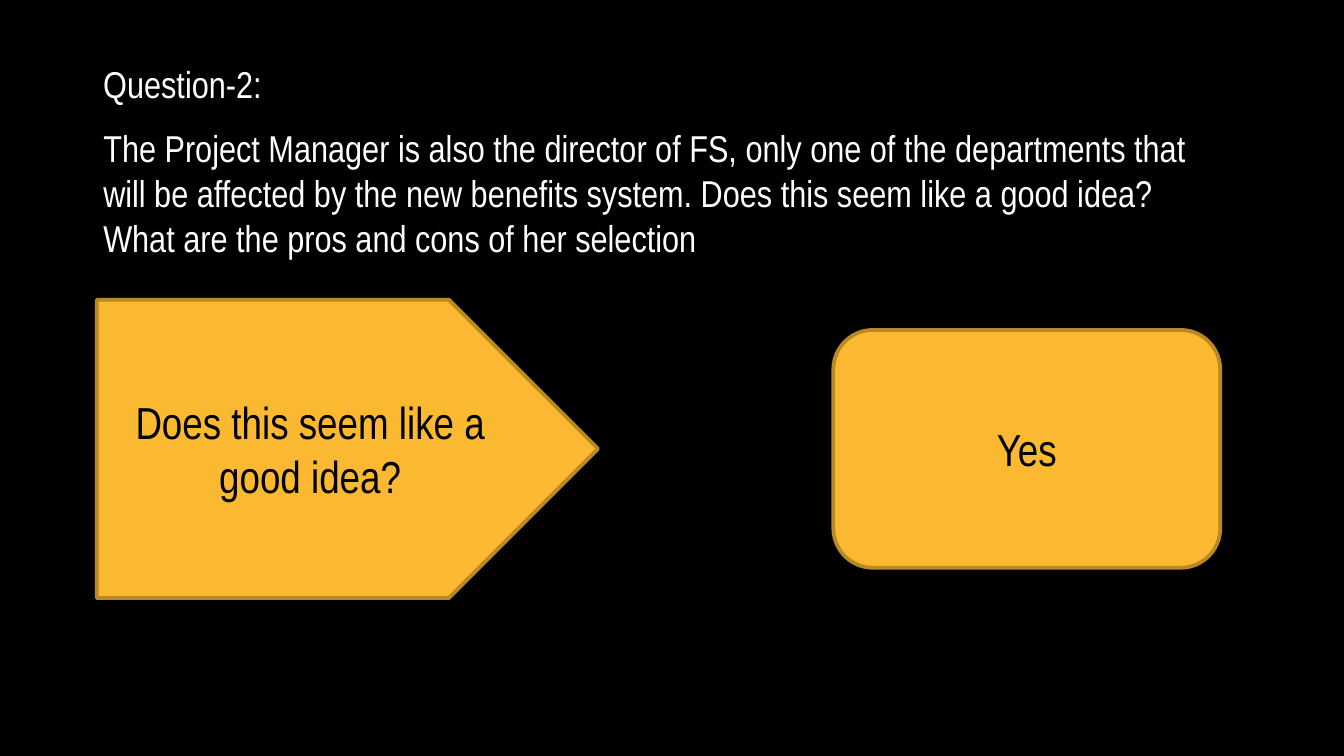
import pptx
import pptx.util
import pptx.dml.color
import pptx.enum.shapes
import pptx.enum.text

Inches, Pt = pptx.util.Inches, pptx.util.Pt
SHAPE = pptx.enum.shapes.MSO_SHAPE
ALIGN = pptx.enum.text.PP_ALIGN
ANCHOR = pptx.enum.text.MSO_ANCHOR

WIDTH = 10
HEIGHT = WIDTH * 9 / 16
FONT = "Arial Narrow"
BLACK, WHITE, AMBER, BROWN = "000000", "FFFFFF", "FBB831", "BA8824"
TEXT_LEFT = 0.67
CARD_MIDDLE = 3.34

heading = "Question-2:"
question = (
    "The Project Manager is also the director of FS, only one of the departments "
    "that will be affected by the new benefits system. Does this seem like a good "
    "idea? What are the pros and cons of her selection"
)
cards = [
    (SHAPE.PENTAGON, "Does this seem like a good idea?", 0.72, 3.73, 2.22),
    (SHAPE.ROUNDED_RECTANGLE, "Yes", 6.2, 2.88, 1.77),
]


def rgb(value):
    return pptx.dml.color.RGBColor.from_string(value)


def write(sp, text, size, color, align, anchor, wrap=True):
    tf = sp.text_frame
    tf.text = text
    tf.word_wrap = wrap
    tf.vertical_anchor = anchor
    p = tf.paragraphs[0]
    p.alignment = align
    font = p.runs[0].font
    font.name, font.size = FONT, Pt(size)
    font.color.rgb = rgb(color)
    return tf


prs = pptx.Presentation()
prs.slide_width, prs.slide_height = Inches(WIDTH), Inches(HEIGHT)
s = prs.slides.add_slide(prs.slide_layouts[6])
s.background.fill.solid()
s.background.fill.fore_color.rgb = rgb(BLACK)

sp = s.shapes.add_textbox(*map(Inches, (TEXT_LEFT, 1.17, 8.45, 0.53)))
tf = write(sp, question, 20, WHITE, ALIGN.LEFT, ANCHOR.MIDDLE)
tf.margin_top = tf.margin_bottom = Inches(0.1)

for kind, text, left, width, height in cards:
    top = CARD_MIDDLE - height / 2
    sp = s.shapes.add_shape(kind, *map(Inches, (left, top, width, height)))
    sp.shadow.inherit = False
    sp.fill.solid()
    sp.fill.fore_color.rgb = rgb(AMBER)
    sp.line.color.rgb = rgb(BROWN)
    sp.line.width = Pt(2)
    write(sp, text, 24, BLACK, ALIGN.CENTER, ANCHOR.MIDDLE)

sp = s.shapes.add_textbox(*map(Inches, (TEXT_LEFT, 0.41, 1.44, 0.44)))
tf = write(sp, heading, 20, WHITE, ALIGN.LEFT, ANCHOR.TOP, wrap=False)
tf.auto_size = pptx.enum.text.MSO_AUTO_SIZE.SHAPE_TO_FIT_TEXT

prs.save("out.pptx")
